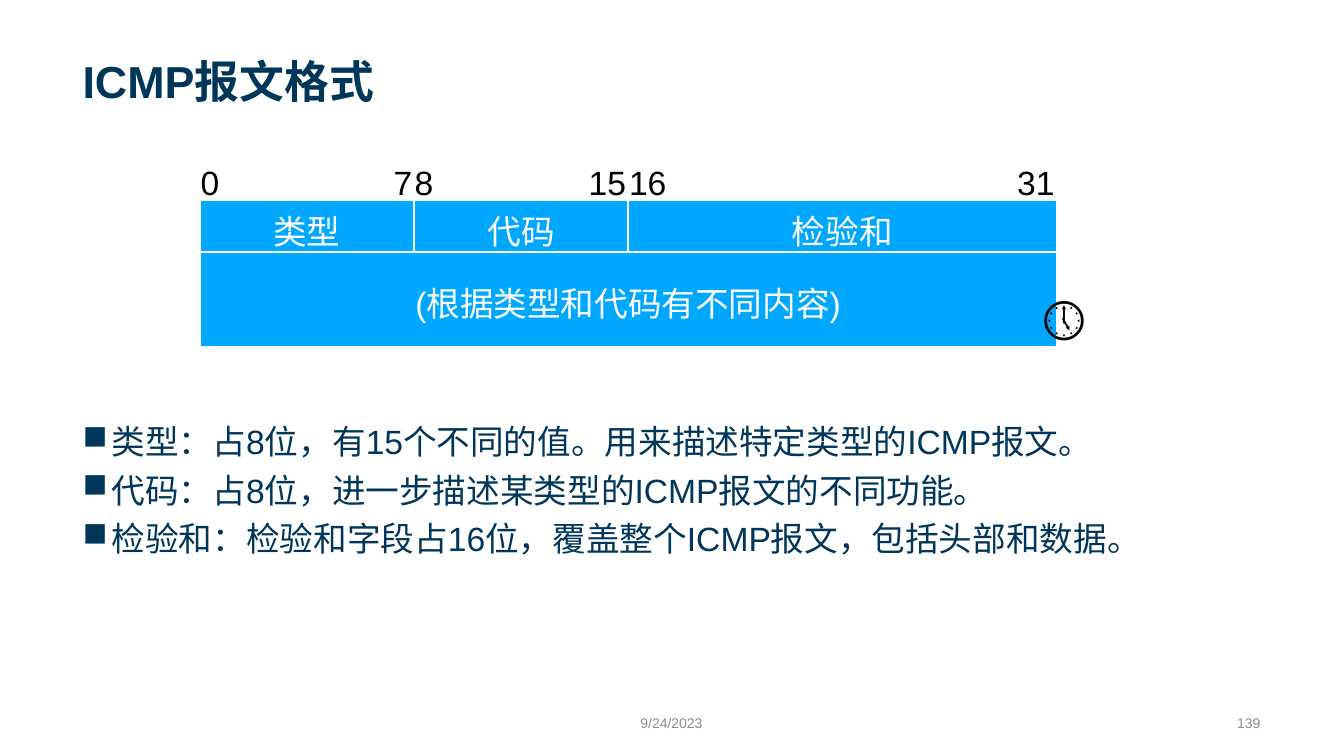
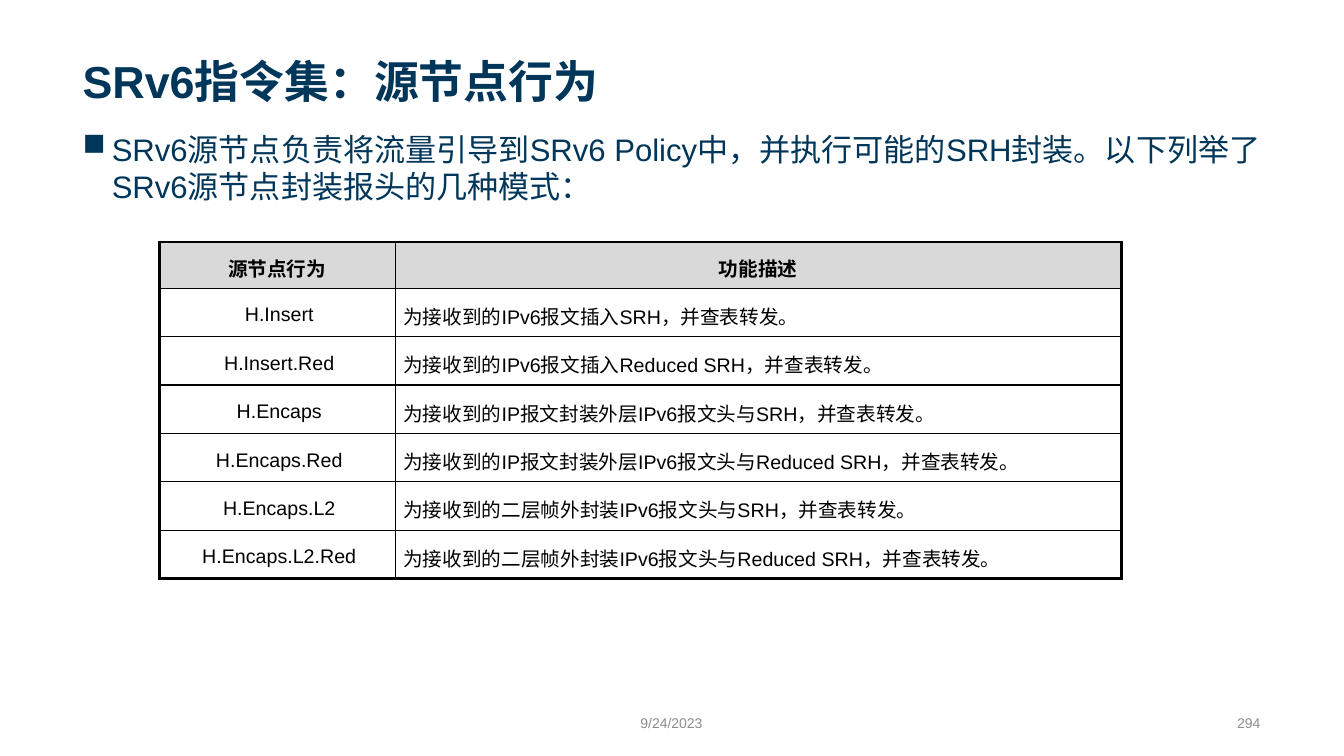
from lxml import etree
from pptx import Presentation
from pptx.dml.color import RGBColor
from pptx.enum.shapes import MSO_SHAPE
from pptx.enum.text import MSO_ANCHOR, PP_ALIGN
from pptx.oxml.ns import qn
from pptx.util import Inches, Pt

LEFT, CENTER, RIGHT = PP_ALIGN.LEFT, PP_ALIGN.CENTER, PP_ALIGN.RIGHT
TOP, MIDDLE, BOTTOM = MSO_ANCHOR.TOP, MSO_ANCHOR.MIDDLE, MSO_ANCHOR.BOTTOM
RECTANGLE = MSO_SHAPE.RECTANGLE

FONT = "Arial"
NAVY, BLUE, WHITE, BLACK = "003659", "00A7FF", "FFFFFF", "000000"
GRAY, HEADER_GRAY = "8C8C8C", "D9D9D9"
MARGIN, CONTENT_WIDTH = 0.72, 11.88
BULLET_INDENT = 0.29
THIN, THICK = 1, 2.25

STYLES = {
    "title": {"size": Pt(32), "bold": True, "color": NAVY},
    "body": {"size": Pt(24), "color": NAVY},
    "lead": {"size": Pt(22.2), "color": NAVY},
    "footer": {"size": Pt(10), "color": GRAY},
    "field": {"size": Pt(24), "color": WHITE},
    "bit": {"size": Pt(24), "color": BLACK},
    "clock": {"size": Pt(36), "color": BLACK},
    "header": {"size": Pt(14), "bold": True, "color": BLACK},
    "cell": {"size": Pt(14), "color": BLACK},
}

BIT_FIELDS = [("类型", 0, 7), ("代码", 8, 15), ("检验和", 16, 31)]
FIELD_NOTES = [
    "类型：占8位，有15个不同的值。用来描述特定类型的ICMP报文。",
    "代码：占8位，进一步描述某类型的ICMP报文的不同功能。",
    "检验和：检验和字段占16位，覆盖整个ICMP报文，包括头部和数据。",
]
SOURCE_LEAD = ["SRv6源节点负责将流量引导到SRv6 Policy中，并执行可能的SRH封装。"
               "以下列举了SRv6源节点封装报头的几种模式："]
BEHAVIORS = [
    ("源节点行为", "功能描述"),
    ("H.Insert", "为接收到的IPv6报文插入SRH，并查表转发。"),
    ("H.Insert.Red", "为接收到的IPv6报文插入Reduced SRH，并查表转发。"),
    ("H.Encaps", "为接收到的IP报文封装外层IPv6报文头与SRH，并查表转发。"),
    ("H.Encaps.Red", "为接收到的IP报文封装外层IPv6报文头与Reduced SRH，并查表转发。"),
    ("H.Encaps.L2", "为接收到的二层帧外封装IPv6报文头与SRH，并查表转发。"),
    ("H.Encaps.L2.Red", "为接收到的二层帧外封装IPv6报文头与Reduced SRH，并查表转发。"),
]


def rgb(code):
    return RGBColor.from_string(code)


def set_all(target, values):
    for name, value in values.items():
        setattr(target, name, value)


def add_bullet(para):
    properties = para._p.get_or_add_pPr()
    properties.set("marL", str(Inches(BULLET_INDENT)))
    properties.set("indent", str(-Inches(BULLET_INDENT)))
    etree.SubElement(properties, qn("a:buChar")).set("char", "■")


def write(frame, lines, style, align=LEFT, spacing=1.2, bullet=False):
    for index, line in enumerate(lines):
        para = frame.add_paragraph() if index else frame.paragraphs[0]
        set_all(para, {"alignment": align, "line_spacing": spacing})
        if bullet:
            add_bullet(para)
        span = para.add_run()
        span.text = line
        values = dict(STYLES[style])
        span.font.color.rgb = rgb(values.pop("color"))
        set_all(span.font, {"name": FONT, **values})


def add_text(page, box, lines, style, anchor=TOP, wrap=True, **layout):
    frame = page.shapes.add_textbox(*map(Inches, box)).text_frame
    set_all(frame, {"word_wrap": wrap, "vertical_anchor": anchor})
    write(frame, lines, style, **layout)


def add_page(deck, title, number):
    page = deck.slides.add_slide(deck.slide_layouts[6])
    page.background.fill.solid()
    page.background.fill.fore_color.rgb = rgb(WHITE)
    add_text(page, (MARGIN, 0.14, CONTENT_WIDTH, 0.98), [title], "title", BOTTOM)
    add_text(page, (5.16, 7.01, 3, 0.3), ["9/24/2023"], "footer", MIDDLE, align=CENTER)
    add_text(page, (8.5, 7.01, 4.1, 0.3), [number], "footer", MIDDLE, align=RIGHT)
    return page


def add_field(page, box, label):
    field = page.shapes.add_shape(RECTANGLE, *map(Inches, box))
    field.shadow.inherit = False
    field.fill.solid()
    field.fill.fore_color.rgb = rgb(BLUE)
    field.line.color.rgb = rgb(WHITE)
    field.line.width = Pt(1.5)
    set_all(field.text_frame, {"word_wrap": False, "vertical_anchor": MIDDLE})
    write(field.text_frame, [label], "field", CENTER)


def add_message_format(page, left, top, width):
    bit_width = width / 32
    overhang = 0.09
    for label, first, last in BIT_FIELDS:
        start = left + first * bit_width
        end = left + (last + 1) * bit_width
        add_field(page, (start, top, end - start, 0.55), label)
        for bit, is_end in ((first, False), (last, True)):
            label_width = 0.2 + 0.19 * len(str(bit))
            x = end + overhang - label_width if is_end else start - overhang
            add_text(page, (x, top - 0.5, label_width, 0.54), [str(bit)], "bit", wrap=False)
    add_field(page, (left, top + 0.52, width, 0.94), "(根据类型和代码有不同内容)")
    add_text(page, (left + width - 0.24, top + 0.68, 0.71, 0.76), ["🕔"], "clock", wrap=False)


def add_border(cell, side, width):
    line = etree.SubElement(cell._tc.get_or_add_tcPr(), qn("a:ln" + side))
    line.set("w", str(Pt(width)))
    fill = etree.SubElement(line, qn("a:solidFill"))
    etree.SubElement(fill, qn("a:srgbClr")).set("val", BLACK)


def add_behavior_table(page, left, top, widths, heights):
    last_row, last_column = len(heights) - 1, len(widths) - 1
    box = (left, top, sum(widths), sum(heights))
    table = page.shapes.add_table(len(heights), len(widths), *map(Inches, box)).table
    set_all(table, {"first_row": False, "horz_banding": False})
    for column, width in zip(table.columns, widths):
        column.width = Inches(width)
    for r, (row, height, texts) in enumerate(zip(table.rows, heights, BEHAVIORS)):
        row.height = Inches(height)
        header = r == 0
        insets = (0.05, 0.02, 0.05, 0.02) if header else (0.08, 0.01, 0.04, 0)
        for c, text in enumerate(texts):
            cell = table.cell(r, c)
            outer = {"L": c == 0, "R": c == last_column, "T": header, "B": r == last_row}
            for side, is_outer in outer.items():
                add_border(cell, side, THICK if is_outer else THIN)
            cell.fill.solid()
            cell.fill.fore_color.rgb = rgb(HEADER_GRAY if header else WHITE)
            margins = zip(("margin_left", "margin_top", "margin_right", "margin_bottom"),
                          map(Inches, insets))
            set_all(cell, {"vertical_anchor": MIDDLE, **dict(margins)})
            write(cell.text_frame, [text], "header" if header else "cell",
                  CENTER if header or c == 0 else LEFT)


def build_icmp_page(deck):
    page = add_page(deck, "ICMP报文格式", "139")
    add_text(page, (MARGIN, 4.05, CONTENT_WIDTH, 2.65), FIELD_NOTES, "body", bullet=True)
    add_message_format(page, 1.98, 1.98, 8.5)


def build_srv6_page(deck):
    page = add_page(deck, "SRv6指令集：源节点行为", "294")
    add_text(page, (MARGIN, 1.24, CONTENT_WIDTH, 0.84), SOURCE_LEAD, "lead",
             spacing=1.0, bullet=True)
    add_behavior_table(page, 1.58, 2.4, [2.34, 7.2], [0.46] + [0.48] * 6)


def main():
    deck = Presentation()
    deck.slide_width, deck.slide_height = Inches(13.33), Inches(7.5)
    build_icmp_page(deck)
    build_srv6_page(deck)
    deck.save("out.pptx")


if __name__ == "__main__":
    main()
